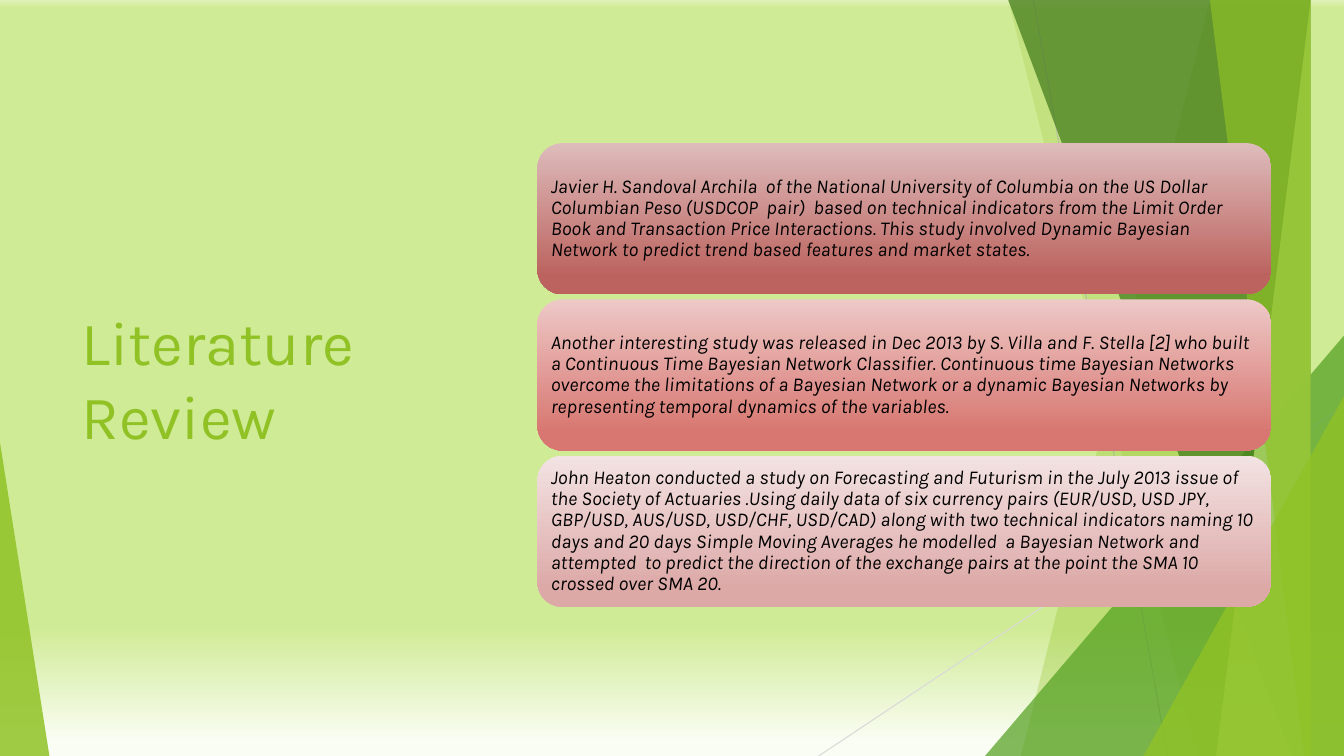
import pptx
import pptx.dml.color
import pptx.enum.shapes
import pptx.enum.text
import pptx.oxml
import pptx.oxml.ns
import pptx.util
from lxml import etree

Inches = pptx.util.Inches
Pt = pptx.util.Pt
RGB = pptx.dml.color.RGBColor.from_string
qn = pptx.oxml.ns.qn
Shapes = pptx.enum.shapes.MSO_SHAPE
Middle = pptx.enum.text.MSO_ANCHOR.MIDDLE
Left = pptx.enum.text.PP_ALIGN.LEFT

WIDTH, HEIGHT = 13.33, 7.5
FONT = "Karla"
COLORS = {
    "lime": "90C226", "green": "54A021", "forest": "3F7819", "pale": "C0E474",
    "grey": "BFBFBF", "light grey": "D9D9D9", "text": "000000",
}
BACKGROUND = [(0, "DFF1B9"), (1, "D0EB96"), (83, "D0EB96"), (98, "FAFDF3")]


def paint_gradient(fill, owner, stops):
    """Fill from top to bottom; owner is the XML element that holds the fill."""
    fill.gradient()
    fill.gradient_angle = 270
    stop_list = next(owner.iter(qn("a:gsLst")))
    for old_stop in list(stop_list):
        stop_list.remove(old_stop)
    for percent, color in stops:
        stop = etree.SubElement(stop_list, qn("a:gs"), pos=str(percent * 1000))
        etree.SubElement(stop, qn("a:srgbClr"), val=color)


def paint_facet(shape, color, opacity):
    shape.shadow.inherit = False
    shape.line.fill.background()
    shape.fill.solid()
    shape.fill.fore_color.rgb = RGB(COLORS[color])
    color_element = next(shape._element.spPr.iter(qn("a:srgbClr")))
    etree.SubElement(color_element, qn("a:alpha"), val=str(opacity * 1000))


deck = pptx.Presentation()
deck.slide_width, deck.slide_height = Inches(WIDTH), Inches(HEIGHT)
page = deck.slides.add_slide(deck.slide_layouts[5])
paint_gradient(page.background.fill, page._element, BACKGROUND)

# Thin lines behind the facets
for x1, y1, x2, y2, color in [
    (10.25, 0, 11.58, HEIGHT, "grey"),
    (WIDTH, 4.03, 8.12, HEIGHT, "light grey"),
]:
    line = page.shapes.add_connector(
        pptx.enum.shapes.MSO_CONNECTOR.STRAIGHT,
        Inches(x1), Inches(y1), Inches(x2), Inches(y2))
    line.line.color.rgb = RGB(COLORS[color])
    line.line.width = Pt(0.75)
    etree.SubElement(line._element.spPr, qn("a:effectLst"))

# Bands reach the right edge: left x at the top and at the bottom.
# Triangles stand on the bottom edge: left, width, height, tip position.
FACETS = [
    ("band", (12.28, 10.04), "lime", 30),
    ("band", (10.5, 11.83), "lime", 20),
    ("triangle", (9.77, 3.56, 4.17, 1), "green", 72),
    ("band", (10.21, 12.91), "forest", 70),
    ("band", (13.03, 11.92), "pale", 70),
    ("band", (11.96, 13.18), "lime", 65),
    ("triangle", (11.34, 1.99, 3.57, 1), "lime", 80),
    ("triangle", (0, 0.49, 3.11, 0), "lime", 85),
]
for kind, numbers, color, opacity in FACETS:
    if kind == "band":
        top_x, bottom_x = numbers
        outline = page.shapes.build_freeform(top_x, 0, scale=Inches(1))
        outline.add_line_segments(
            [(WIDTH, 0), (WIDTH, HEIGHT), (bottom_x, HEIGHT)], close=True)
        facet = outline.convert_to_shape()
    else:
        left, width, height, tip = numbers
        facet = page.shapes.add_shape(
            Shapes.ISOSCELES_TRIANGLE, Inches(left), Inches(HEIGHT - height),
            Inches(width), Inches(height))
        facet.adjustments[0] = tip
    paint_facet(facet, color, opacity)

title = page.shapes.title
title.left, title.top = Inches(0.71), Inches(1.51)
title.width, title.height = Inches(3.88), Inches(4.48)
title.text_frame.text = "Literature Review"
title.text_frame.word_wrap = True
title.text_frame.auto_size = pptx.enum.text.MSO_AUTO_SIZE.NONE
title.text_frame.vertical_anchor = Middle
para = title.text_frame.paragraphs[0]
para.alignment = Left
para.font.name, para.font.size = FONT, Pt(44)
para.font.color.rgb = RGB(COLORS["lime"])

STUDIES = [
    ("DDBCBB", "BC635F",
     "Javier H. Sandoval Archila  of the National University of Columbia on the "
     "US Dollar Columbian Peso (USDCOP  pair)  based on technical indicators from "
     "the Limit Order Book and Transaction Price Interactions. This study involved "
     "Dynamic Bayesian Network to predict trend based features and market states."),
    ("EDC9C7", "D87771",
     "Another interesting study was released in Dec 2013 by S. Villa and F. Stella "
     "[2] who built a Continuous Time Bayesian Network Classifier. Continuous time "
     "Bayesian Networks overcome the limitations of a Bayesian Network or a dynamic "
     "Bayesian Networks by representing temporal dynamics of the variables."),
    ("F3E3E3", "DCA9A7",
     "John Heaton conducted a study on Forecasting and Futurism in the July 2013 "
     "issue of the Society of Actuaries .Using daily data of six currency pairs "
     "(EUR/USD, USD JPY, GBP/USD, AUS/USD, USD/CHF, USD/CAD) along with two "
     "technical indicators naming 10 days and 20 days Simple Moving Averages he "
     "modelled  a Bayesian Network and  attempted  to predict the direction of the "
     "exchange pairs at the point the SMA 10 crossed over SMA 20."),
]
for row, (top_color, bottom_color, summary) in enumerate(STUDIES):
    card = page.shapes.add_shape(
        Shapes.ROUNDED_RECTANGLE, Inches(5.33), Inches(1.42 + 1.55 * row),
        Inches(7.28), Inches(1.5))
    card.shadow.inherit = False
    card.line.fill.background()
    paint_gradient(card.fill, card._element, [(0, top_color), (88, bottom_color)])
    frame = card.text_frame
    frame.word_wrap = True
    frame.vertical_anchor = Middle
    frame.margin_left = frame.margin_right = Inches(0.06)
    frame.margin_top = frame.margin_bottom = Inches(0.06)
    frame.text = summary
    para = frame.paragraphs[0]
    para.alignment = Left
    para.line_spacing = 0.9
    para.font.name, para.font.size, para.font.italic = FONT, Pt(14), True
    para.font.color.rgb = RGB(COLORS["text"])

deck.save("out.pptx")
